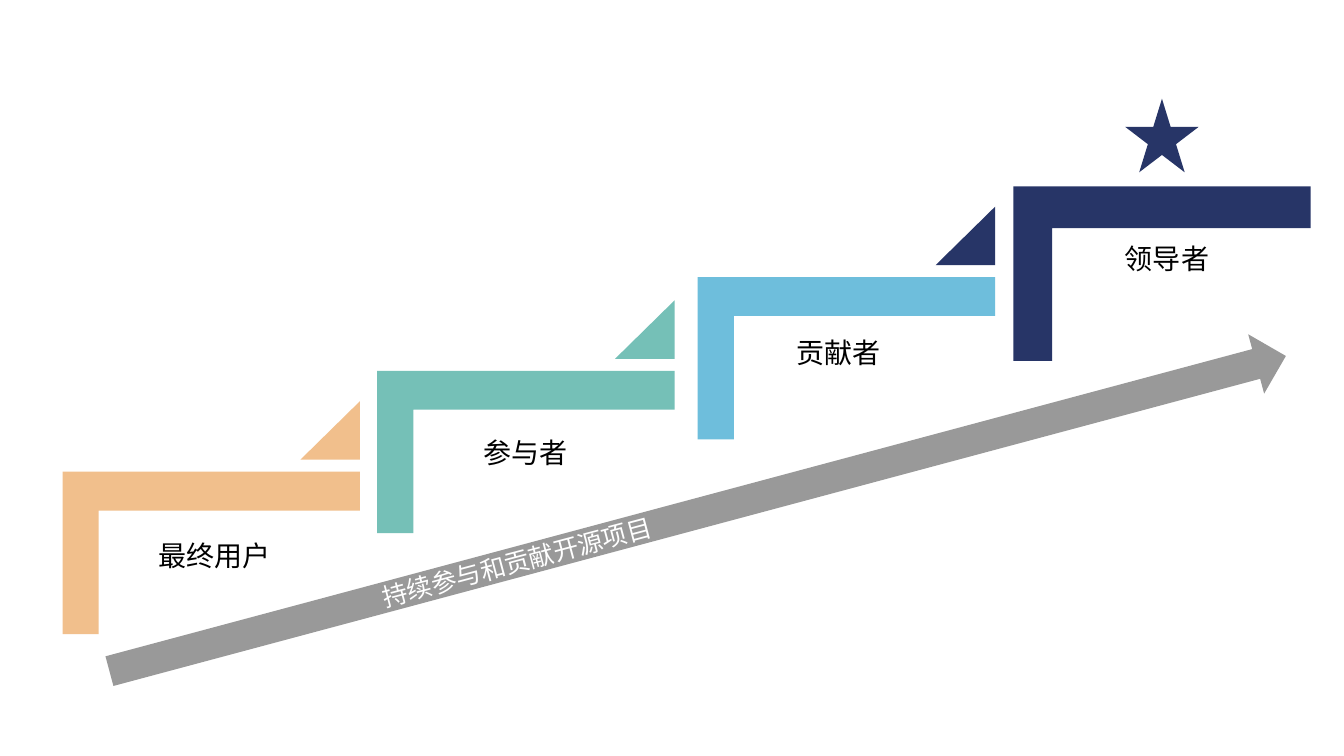
from lxml.etree import SubElement
from pptx import Presentation
from pptx.dml.color import RGBColor
from pptx.enum.shapes import MSO_SHAPE
from pptx.enum.text import MSO_AUTO_SIZE, PP_ALIGN
from pptx.oxml.ns import qn
from pptx.util import Inches, Pt

FONT = "Noto Sans CJK SC"
NAVY = "273567"
STEP_W = 2.95
# text, left, top, height, colour, marker colour, label offset (x, y)
STEPS = [
    ("最终用户", 0.62, 4.68, 1.61, "F1BF8C", "F1BF8C", 0.66, 0.61),
    ("参与者", 3.74, 3.68, 1.61, "75C0B7", "75C0B7", 0.63, 0.59),
    ("贡献者", 6.92, 2.75, 1.61, "6EBEDC", NAVY, 0.55, 0.53),
    ("领导者", 10.05, 1.85, 1.73, NAVY, NAVY, 0.68, 0.5),
]


def rgb(color):
    return RGBColor.from_string(color)


def add_shape(s, kind, x, y, w, h, color, rotation=0):
    """Fill the visible box x, y, w, h; quarter turns swap the frame's sides."""
    if rotation in (90, 270):
        x, y, w, h = x + (w - h) / 2, y + (h - w) / 2, h, w
    sp = s.shapes.add_shape(kind, Inches(x), Inches(y), Inches(w), Inches(h))
    sp.rotation = rotation
    sp.shadow.inherit = False
    sp.fill.solid()
    sp.fill.fore_color.rgb = rgb(color)
    sp.line.fill.background()
    return sp


def add_text(s, text, x, y, w, h, size, color, align, rotation=0):
    sp = s.shapes.add_textbox(Inches(x), Inches(y), Inches(w), Inches(h))
    sp.rotation = rotation
    tf = sp.text_frame
    tf.word_wrap = True
    tf.auto_size = MSO_AUTO_SIZE.SHAPE_TO_FIT_TEXT
    p = tf.paragraphs[0]
    p.text = text
    p.alignment = align
    p.font.size = Pt(size)
    p.font.color.rgb = rgb(color)
    p.font.name = FONT
    # East Asian text takes its typeface from a:ea
    latin = p._p.pPr.find(qn("a:defRPr")).find(qn("a:latin"))
    ea = SubElement(latin.getparent(), qn("a:ea"), typeface=FONT)
    latin.addnext(ea)


def add_step(s, text, x, y, h, color, marker_color, label_x, label_y, last):
    corner = add_shape(s, MSO_SHAPE.CORNER, x, y, STEP_W, h, color, 90)
    corner.adjustments[0] = 0.223
    corner.adjustments[1] = 0.239
    if last:
        add_shape(s, MSO_SHAPE.STAR_5_POINT, x + 1.11, y - 0.87, 0.73, 0.73, marker_color)
    else:
        add_shape(s, MSO_SHAPE.RIGHT_TRIANGLE, x + STEP_W - 0.59, y - 0.7,
                  0.59, 0.58, marker_color, 270)
    add_text(s, text, x + label_x, y + label_y, 1.69, 0.44, 20, "000000", PP_ALIGN.CENTER)


def add_progress_arrow(s, x, y, w, h):
    add_shape(s, MSO_SHAPE.RIGHT_ARROW, x, y, w, h, "999999", 345)
    add_text(s, "持续参与和贡献开源项目", x + 2.71, y + 0.1, 6.67, 0.4, 18,
             "FFFFFF", PP_ALIGN.JUSTIFY, 345)


def main():
    prs = Presentation()
    prs.slide_width, prs.slide_height = Inches(13.33), Inches(7.5)
    s = prs.slides.add_slide(prs.slide_layouts[6])
    for step in STEPS:
        add_step(s, *step, last=step is STEPS[-1])
    add_progress_arrow(s, 0.88, 4.79, 12.08, 0.61)
    prs.save("out.pptx")


if __name__ == "__main__":
    main()
